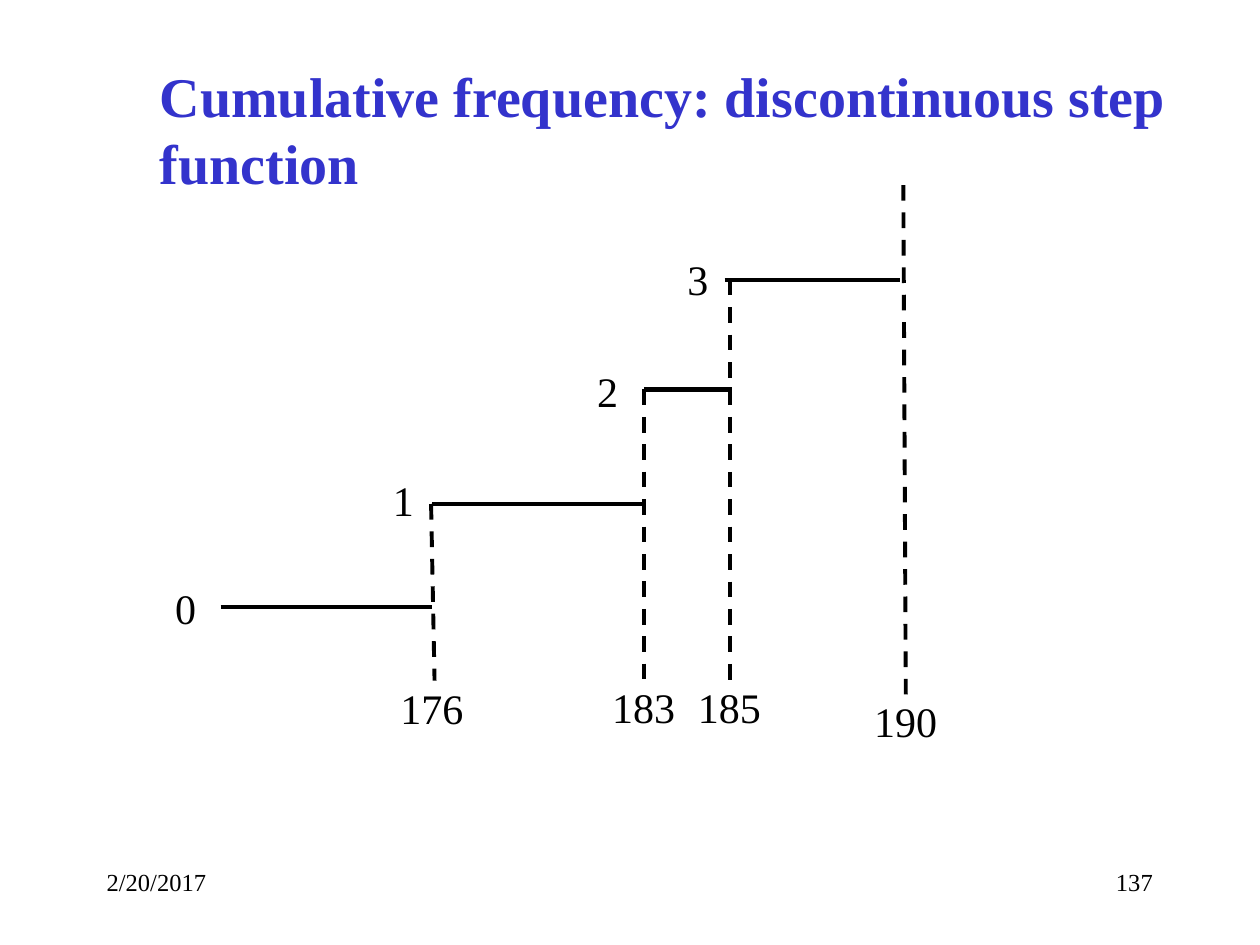
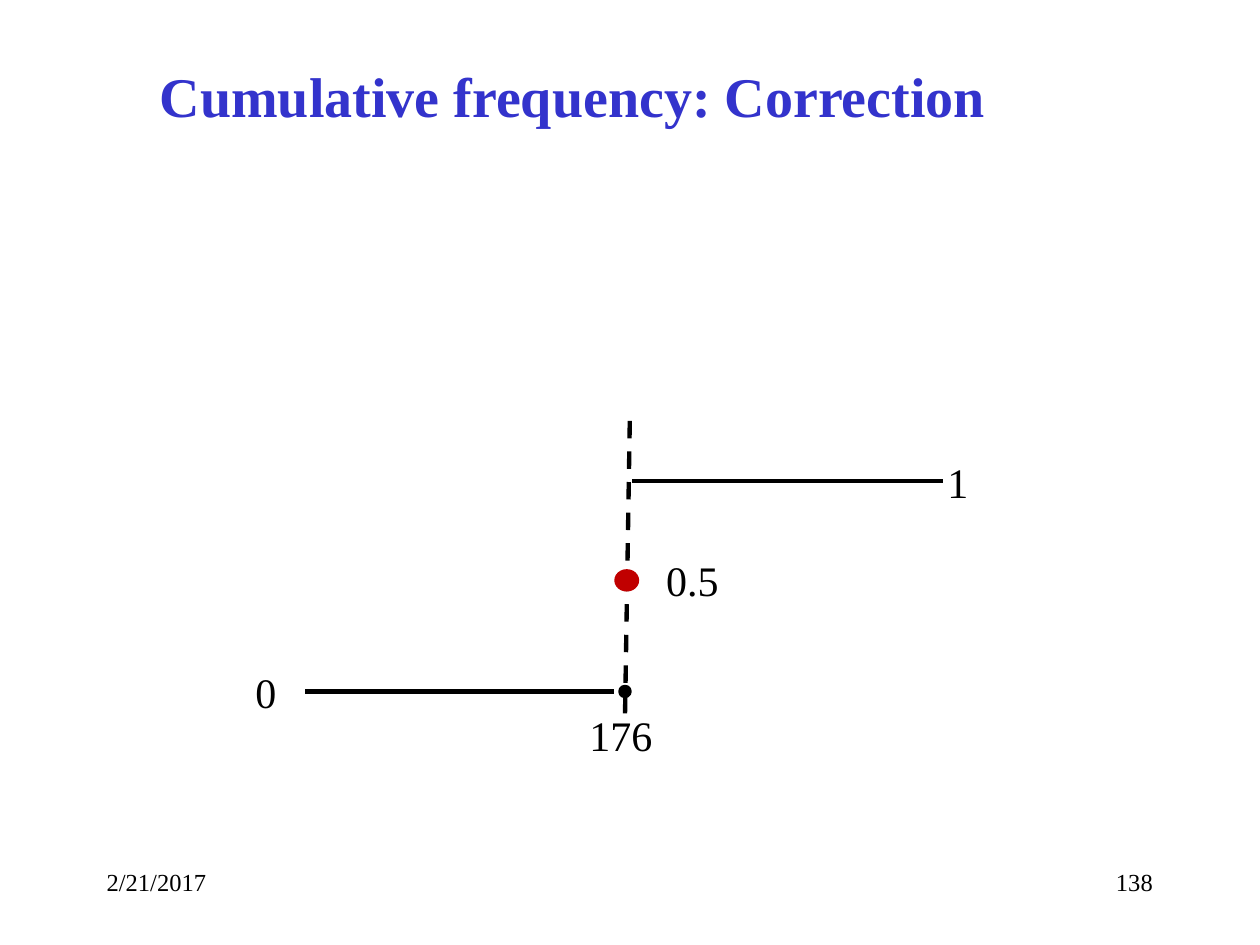
"""Builds two slides on the cumulative frequency step function."""
from lxml.etree import SubElement
from pptx import Presentation
from pptx.dml.color import RGBColor
from pptx.enum.dml import MSO_LINE as Dash
from pptx.enum.shapes import MSO_CONNECTOR as Connector, MSO_SHAPE as Shape
from pptx.enum.text import PP_ALIGN as Align
from pptx.oxml.ns import qn
from pptx.util import Cm, Pt

BLACK = RGBColor(0x00, 0x00, 0x00)
BLUE = RGBColor(0x33, 0x33, 0xCC)
RED = RGBColor(0xC0, 0x00, 0x00)
FONT = "Times New Roman"

TITLE = {"size": Pt(32), "bold": True}
FOOTER = {"size": Pt(14)}
LABEL = {"size": Pt(24)}

DIGIT_SIZE = (0.94, 1.27)
VALUE_SIZE = (3.1, 2.16)

# Count, its label position, and the step's start, end and height
STEPS = [
    ("0", (3.28, 11.61), 4.45, 8.71, 12.24),
    ("1", (7.67, 9.45), 8.71, 12.98, 10.16),
    ("2", (11.79, 7.24), 12.98, 14.76, 7.85),
    ("3", (13.61, 4.98), 14.61, 18.14, 5.64),
]

# Value, its label position, and the top and bottom of its dashed line
VALUES = [
    ("176", (7.82, 13.64), (8.69, 10.16), (8.76, 13.72)),
    ("183", (12.09, 13.61), (12.98, 7.85), (12.98, 13.72)),
    ("185", (13.82, 13.61), (14.71, 5.64), (14.71, 13.72)),
    ("190", (17.37, 13.89), (18.21, 3.73), (18.26, 14.07)),
]


def add_text(page, text, position, size, style, color=BLACK, align=Align.LEFT):
    """Add a text box with one paragraph in the given style."""
    box = page.shapes.add_textbox(*map(Cm, position + size))
    box.text_frame.word_wrap = True
    para = box.text_frame.paragraphs[0]
    para.alignment = align
    span = para.add_run()
    span.text = text
    span.font.name = FONT
    span.font.color.rgb = color
    for name, value in style.items():
        setattr(span.font, name, value)


def add_line(page, start, end, width=2.5, dash=None):
    """Add a straight black line without a shadow."""
    line = page.shapes.add_connector(Connector.STRAIGHT, *map(Cm, start + end))
    line.line.color.rgb = BLACK
    for name, value in {"width": Pt(width), "dash_style": dash}.items():
        setattr(line.line, name, value)
    SubElement(line._element.spPr, qn("a:effectLst"))


def add_dot(page, position, size, color):
    """Add a filled ellipse that marks a point."""
    dot = page.shapes.add_shape(Shape.OVAL, *map(Cm, position + size))
    dot.shadow.inherit = False
    dot.fill.solid()
    dot.fill.fore_color.rgb = color
    dot.line.color.rgb = color
    dot.line.width = Pt(2)


def add_page(deck, title, title_height, date, number):
    """Add a blank slide with its footer and title."""
    page = deck.slides.add_slide(deck.slide_layouts[6])
    add_text(page, date, (1.9, 17.35), (5.28, 1.27), FOOTER)
    add_text(page, number, (18.21, 17.35), (5.28, 1.27), FOOTER, align=Align.RIGHT)
    add_text(page, title, (2.97, 1.12), (21.39, title_height), TITLE, BLUE)
    return page


def add_step_function(page):
    """Draw the steps, the dashed lines and their labels."""
    for count, position, left, right, height in STEPS:
        add_line(page, (left, height), (right, height))
        add_text(page, count, position, DIGIT_SIZE, LABEL)
    for value, position, top, bottom in VALUES:
        add_line(page, top, bottom, 2.25, Dash.DASH)
        add_text(page, value, position, VALUE_SIZE, LABEL)


def add_correction(page):
    """Draw the jump at one value with its corrected midpoint."""
    add_text(page, "176", (11.63, 14.17), (1.82, 1.27), LABEL)
    add_dot(page, (12.5, 13.84), (0.2, 0.2), BLACK)
    add_text(page, "1", (18.85, 9.07), DIGIT_SIZE, LABEL)
    add_text(page, "0", (4.9, 13.31), DIGIT_SIZE, LABEL)
    add_line(page, (6.15, 13.94), (12.37, 13.94))
    add_line(page, (12.75, 9.7), (19, 9.7))
    add_line(page, (12.6, 14.38), (12.7, 8.23), dash=Dash.DASH)
    add_dot(page, (12.42, 11.51), (0.43, 0.38), RED)
    add_text(page, "0.5", (13.18, 11.05), (1.6, 1.27), LABEL)


def main():
    """Build and save the deck."""
    deck = Presentation()
    deck.slide_width, deck.slide_height = Cm(25.4), Cm(19.05)
    add_step_function(add_page(
        deck, "Cumulative frequency: discontinuous step function", 3, "2/20/2017", "137"))
    add_correction(add_page(
        deck, "Cumulative frequency: Correction", 1.63, "2/21/2017", "138"))
    deck.save("out.pptx")


if __name__ == "__main__":
    main()
